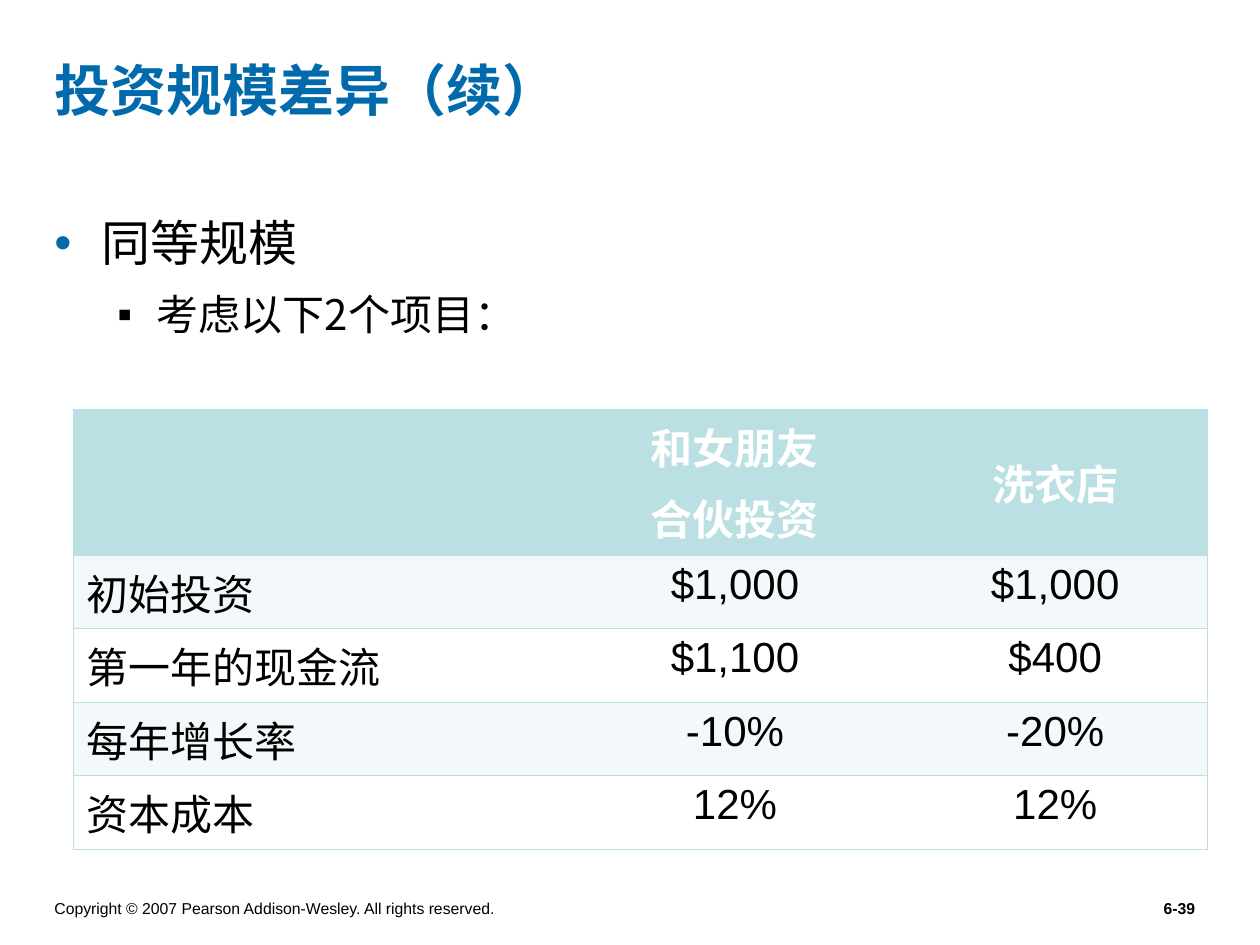
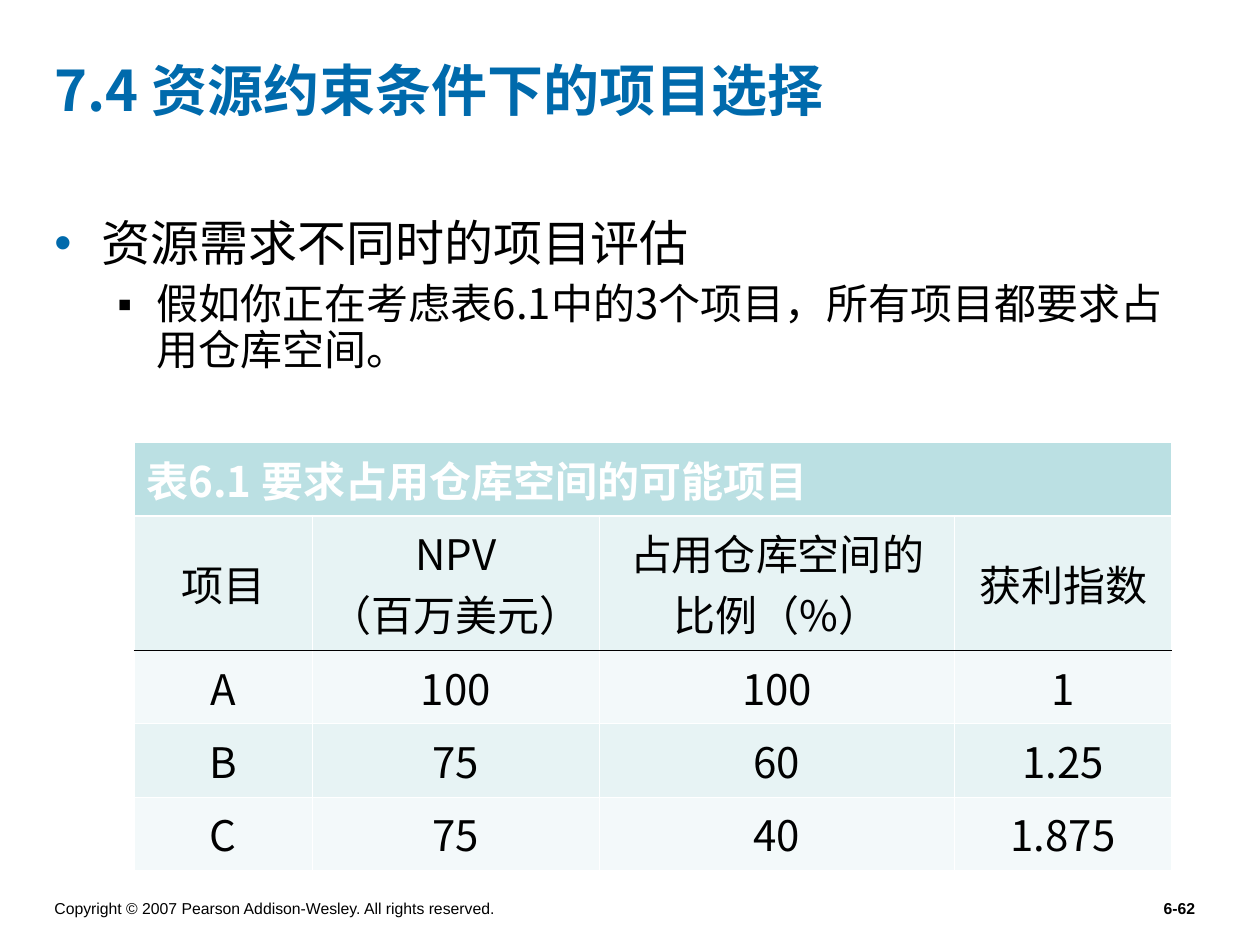
from dataclasses import dataclass
from typing import Any, Optional

from lxml.etree import SubElement
from pptx import Presentation
from pptx.dml.color import RGBColor
from pptx.enum.text import MSO_ANCHOR, MSO_AUTO_SIZE, PP_ALIGN
from pptx.oxml import parse_xml
from pptx.oxml.ns import nsdecls, qn
from pptx.util import Pt

BLUE, BLACK, WHITE = "006AAC", "000000", "FFFFFF"
TEAL, PALE_TEAL, FAINT_TEAL = "BBE0E3", "E7F3F4", "F3F9FA"
LATIN, CHINESE, TITLE_FONT = "Arial", "Noto Sans CJK SC", "Noto Sans CJK JP"
COPYRIGHT = "Copyright © 2007 Pearson Addison-Wesley. All rights reserved."
CONTENT_LEFT, CONTENT_WIDTH = 24, 666
FOOTER_TOP, FOOTER_HEIGHT = 510, 18
ROW_HEIGHT = 42
THIN, THICK = 0.45, 1.47


@dataclass(frozen=True)
class TextStyle:
    size: float
    color: str = BLACK
    bold: bool = False
    latin: str = LATIN
    east_asian: str = CHINESE


@dataclass(frozen=True)
class Bullet:
    character: str
    color: str
    margin: float
    hanging: float


@dataclass(frozen=True)
class Line:
    color: str
    width: float = THIN


@dataclass(frozen=True)
class TableSpec:
    left: float
    top: float
    columns: list[float]
    heights: list[float]
    rows: list[list[str]]
    fills: list[str]
    rules: list[Line]  # horizontal lines from top to bottom
    outer: Line
    inner: Optional[Line]
    latin: str
    space_before: float = 0
    left_columns: int = 0
    middle_cells: tuple[tuple[int, int], ...] = ()
    merged_header: bool = False


@dataclass(frozen=True)
class SlideSpec:
    title: str
    number: str
    point: str
    detail: str
    detail_space: float
    body_height: float
    table: TableSpec


TITLE = TextStyle(32, BLUE, True, TITLE_FONT, TITLE_FONT)
BULLETS = [Bullet("•", BLUE, 27, 27), Bullet("▪", BLACK, 58.5, 22.5)]
BODY = [TextStyle(28, latin=CHINESE), TextStyle(24, latin=CHINESE)]

SLIDES = [
    SlideSpec(
        "投资规模差异（续）", "6-39", "同等规模", "考虑以下2个项目：", 12, 102,
        TableSpec(
            left=42, top=234, columns=[282, 192, 174],
            heights=[83.25] + [ROW_HEIGHT] * 4,
            rows=[
                ["", "和女朋友\n合伙投资", "洗衣店"],
                ["初始投资", "$1,000", "$1,000"],
                ["第一年的现金流", "$1,100", "$400"],
                ["每年增长率", "-10%", "-20%"],
                ["资本成本", "12%", "12%"],
            ],
            fills=[TEAL] + [FAINT_TEAL, WHITE] * 2,
            rules=[Line(TEAL)] * 6, outer=Line(TEAL), inner=None,
            latin=LATIN, space_before=6, left_columns=1, middle_cells=((0, 2),),
        ),
    ),
    SlideSpec(
        "7.4 资源约束条件下的项目选择", "6-62", "资源需求不同时的项目评估",
        "假如你正在考虑表6.1中的3个项目，所有项目都要求占用仓库空间。", 6, 378,
        TableSpec(
            left=76.5, top=252.75, columns=[102, 164, 203, 124],
            heights=[ROW_HEIGHT, 76.75] + [ROW_HEIGHT] * 3,
            rows=[
                ["表6.1 要求占用仓库空间的可能项目", "", "", ""],
                ["项目", "NPV\n（百万美元）", "占用仓库空间的比例（%）", "获利指数"],
                ["A", "100", "100", "1"],
                ["B", "75", "60", "1.25"],
                ["C", "75", "40", "1.875"],
            ],
            fills=[TEAL] + [PALE_TEAL, FAINT_TEAL] * 2,
            rules=[Line(WHITE), Line(WHITE, THICK), Line(BLACK)] + [Line(WHITE)] * 3,
            outer=Line(WHITE), inner=Line(WHITE), latin=CHINESE,
            middle_cells=tuple((1, column) for column in range(4)),
            merged_header=True,
        ),
    ),
]


def rgb(color: str) -> RGBColor:
    return RGBColor.from_string(color)


def apply(target: Any, values: dict[str, Any]) -> None:
    for name, value in values.items():
        setattr(target, name, value)


def write(paragraph: Any, text: str, style: TextStyle) -> None:
    run = paragraph.add_run()
    run.text = text
    apply(run.font, {"size": Pt(style.size), "bold": style.bold, "name": style.latin})
    run.font.color.rgb = rgb(style.color)
    SubElement(run.font._element, qn("a:ea"), typeface=style.east_asian)


def set_bullet(paragraph: Any, bullet: Bullet) -> None:
    properties = paragraph._p.get_or_add_pPr()
    properties.set("marL", str(int(Pt(bullet.margin))))
    properties.set("indent", str(-int(Pt(bullet.hanging))))
    color = SubElement(properties, qn("a:buClr"))
    SubElement(color, qn("a:srgbClr"), val=bullet.color)
    SubElement(properties, qn("a:buFont"), typeface=LATIN)
    SubElement(properties, qn("a:buChar"), char=bullet.character)


def place(shape: Any, left: float, top: float, width: float, height: float) -> None:
    apply(shape, {"left": Pt(left), "top": Pt(top),
                  "width": Pt(width), "height": Pt(height)})


def add_text_box(slide: Any, left: float, top: float, width: float, height: float) -> Any:
    frame = slide.shapes.add_textbox(Pt(left), Pt(top), Pt(width), Pt(height)).text_frame
    frame.word_wrap = True
    return frame


def add_title(slide: Any, text: str) -> None:
    title = slide.shapes.title
    place(title, CONTENT_LEFT, 6, CONTENT_WIDTH, 90)
    apply(title.text_frame, {"auto_size": MSO_AUTO_SIZE.NONE, "word_wrap": True,
                             "vertical_anchor": MSO_ANCHOR.MIDDLE})
    paragraph = title.text_frame.paragraphs[0]
    paragraph.alignment = PP_ALIGN.LEFT
    write(paragraph, text, TITLE)


def add_footer(slide: Any, number: str) -> None:
    notice = add_text_box(slide, CONTENT_LEFT, FOOTER_TOP, 312, FOOTER_HEIGHT)
    notice.vertical_anchor = MSO_ANCHOR.BOTTOM
    write(notice.paragraphs[0], COPYRIGHT, TextStyle(9))
    page = add_text_box(slide, 540, FOOTER_TOP, 150, FOOTER_HEIGHT)
    page.paragraphs[0].alignment = PP_ALIGN.RIGHT
    write(page.paragraphs[0], number, TextStyle(9, bold=True))


def add_body(slide: Any, spec: SlideSpec) -> None:
    frame = add_text_box(slide, CONTENT_LEFT, 120, CONTENT_WIDTH, spec.body_height)
    frame.margin_top = Pt(4.5)
    for level, text in enumerate([spec.point, spec.detail]):
        paragraph = frame.add_paragraph() if level else frame.paragraphs[0]
        set_bullet(paragraph, BULLETS[level])
        apply(paragraph, {"level": level, "line_spacing": 0.92,
                          "space_before": Pt(spec.detail_space * level)})
        write(paragraph, text, BODY[level])


def set_borders(cell: Any, sides: dict[str, Optional[Line]]) -> None:
    properties = cell._tc.get_or_add_tcPr()
    for position, (side, line) in enumerate(sides.items()):
        border = parse_xml(f'<a:ln{side} {nsdecls("a")}/>')
        if line:
            border.set("w", str(int(Pt(line.width))))
            fill = SubElement(border, qn("a:solidFill"))
            SubElement(fill, qn("a:srgbClr"), val=line.color)
        else:
            SubElement(border, qn("a:noFill"))
        properties.insert(position, border)


def add_table(slide: Any, spec: TableSpec) -> None:
    table = slide.shapes.add_table(
        len(spec.rows), len(spec.columns), Pt(spec.left), Pt(spec.top),
        Pt(sum(spec.columns)), Pt(sum(spec.heights))).table
    apply(table, {"first_row": False, "horz_banding": False})
    for column, width in zip(table.columns, spec.columns):
        column.width = Pt(width)
    for row, height in zip(table.rows, spec.heights):
        row.height = Pt(height)
    last = len(spec.columns) - 1
    for row, texts in enumerate(spec.rows):
        style = TextStyle(24, BLACK if row else WHITE, row == 0, spec.latin)
        for column, text in enumerate(texts):
            cell = table.cell(row, column)
            cell.fill.solid()
            cell.fill.fore_color.rgb = rgb(spec.fills[row])
            set_borders(cell, {
                "L": spec.inner if column else spec.outer,
                "R": spec.inner if column < last else spec.outer,
                "T": spec.rules[row], "B": spec.rules[row + 1]})
            if (row, column) in spec.middle_cells:
                cell.vertical_anchor = MSO_ANCHOR.MIDDLE
            is_left = column < spec.left_columns or (spec.merged_header and row == 0)
            for index, line in enumerate(text.split("\n") if text else []):
                frame = cell.text_frame
                paragraph = frame.add_paragraph() if index else frame.paragraphs[0]
                paragraph.alignment = PP_ALIGN.LEFT if is_left else PP_ALIGN.CENTER
                if index:
                    paragraph.space_before = Pt(spec.space_before)
                write(paragraph, line, style)
    if spec.merged_header:
        table.cell(0, 0).merge(table.cell(0, last))


def main() -> None:
    presentation = Presentation()
    apply(presentation, {"slide_width": Pt(720), "slide_height": Pt(540)})
    title_only = presentation.slide_layouts[5]
    for spec in SLIDES:
        slide = presentation.slides.add_slide(title_only)
        slide.background.fill.solid()
        slide.background.fill.fore_color.rgb = rgb(WHITE)
        add_footer(slide, spec.number)
        add_title(slide, spec.title)
        add_body(slide, spec)
        add_table(slide, spec.table)
    presentation.save("out.pptx")


if __name__ == "__main__":
    main()
